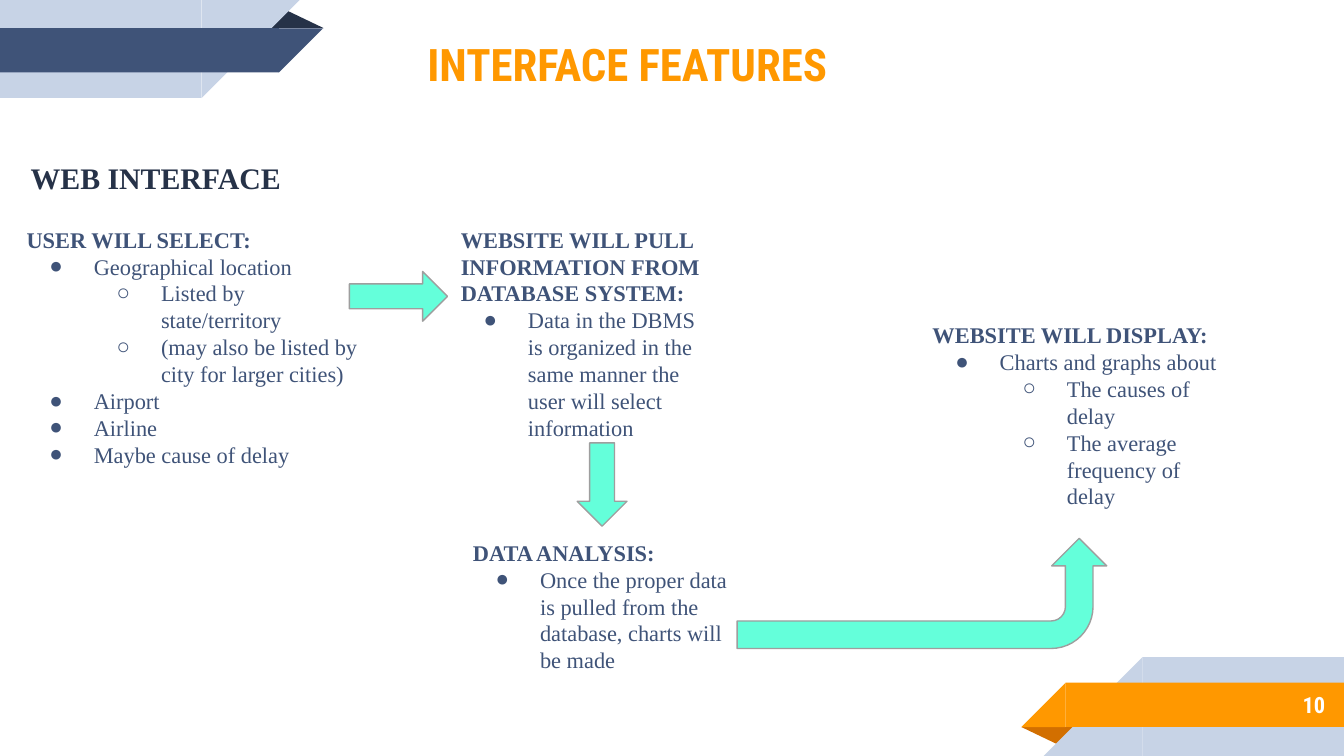
from dataclasses import dataclass

import pptx
import pptx.dml.color
import pptx.enum.shapes
import pptx.enum.text
import pptx.oxml.ns
import pptx.util
from lxml import etree

PX = 4572  # EMU per px, 200 px to the inch
SHAPE = pptx.enum.shapes.MSO_SHAPE
ALIGN = pptx.enum.text.PP_ALIGN
ANCHOR = pptx.enum.text.MSO_ANCHOR
FIT = pptx.enum.text.MSO_AUTO_SIZE
qn = pptx.oxml.ns.qn


@dataclass(frozen=True)
class Theme:
    heading_font: str = "Roboto Condensed"
    body_font: str = "Times New Roman"
    title_size: int = 24
    section_size: int = 16
    body_size: int = 12
    white: str = "FFFFFF"
    navy: str = "263248"
    blue: str = "3F5378"
    pale: str = "C7D3E6"
    orange: str = "FF9800"
    rust: str = "D26F00"
    mint: str = "64FFDA"
    grey: str = "9E9E9E"


@dataclass(frozen=True)
class Area:
    left: int
    top: int
    width: int
    height: int


@dataclass(frozen=True)
class Ribbon:
    """A bar with one slanted end; the slant is as wide as the bar is high."""
    bar: Area
    color: str
    at_top: bool


@dataclass(frozen=True)
class Fold:
    area: Area
    color: str
    rotation: int


@dataclass(frozen=True)
class Arrow:
    preset: int
    area: Area
    rotation: int
    flipped: bool
    adjustments: tuple[float, ...]


@dataclass(frozen=True)
class Step:
    area: Area
    heading: str
    bullets: tuple[tuple[int, str], ...]  # level, text


THEME = Theme()

FOLDS = (
    Fold(Area(396, 14, 86, 28), THEME.navy, 0),
    Fold(Area(1520, 1082, 86, 28), THEME.rust, 180),
)
RIBBONS = (
    Ribbon(Area(0, 0, 300, 146), THEME.pale, True),
    Ribbon(Area(0, 42, 415, 66), THEME.blue, True),
    Ribbon(Area(1700, 978, 300, 147), THEME.pale, False),
    Ribbon(Area(1586, 1016, 414, 66), THEME.orange, False),
)
ARROWS = (
    Arrow(SHAPE.RIGHT_ARROW, Area(520, 404, 146, 74), 0, False, (0.5, 0.5)),
    Arrow(SHAPE.RIGHT_ARROW, Area(834, 684, 124, 74), 90, False, (0.5, 0.5)),
    Arrow(SHAPE.BENT_ARROW, Area(1290, 608, 164, 550), 90, True, (0.25, 0.25, 0.25, 0.38)),
)
STEPS = (
    Step(Area(20, 316, 548, 404), "USER WILL SELECT:", (
        (0, "Geographical location"),
        (1, "Listed by state/territory"),
        (1, "(may also be listed by city for larger cities)"),
        (0, "Airport"),
        (0, "Airline"),
        (0, "Maybe cause of delay"),
    )),
    Step(Area(666, 316, 396, 364), "WEBSITE WILL PULL INFORMATION FROM DATABASE SYSTEM:", (
        (0, "Data in the DBMS is organized in the same manner the user will select information"),
    )),
    Step(Area(684, 782, 442, 242), "DATA ANALYSIS:", (
        (0, "Once the proper data is pulled from the database, charts will be made"),
    )),
    Step(Area(1368, 458, 466, 324), "WEBSITE WILL DISPLAY:", (
        (0, "Charts and graphs about"),
        (1, "The causes of delay"),
        (1, "The average frequency of delay"),
    )),
)


def rgb(color: str) -> pptx.dml.color.RGBColor:
    return pptx.dml.color.RGBColor.from_string(color)


def place(shape, area: Area) -> None:
    shape.left, shape.top = area.left * PX, area.top * PX
    shape.width, shape.height = area.width * PX, area.height * PX


def add_solid(slide, preset: int, area: Area, color: str, rotation: int = 0, flipped: bool = False):
    shape = slide.shapes.add_shape(preset, 0, 0, 0, 0)
    place(shape, area)
    shape.shadow.inherit = False
    shape.fill.solid()
    shape.fill.fore_color.rgb = rgb(color)
    shape.line.fill.background()
    shape.rotation = rotation
    if flipped:
        shape.element.spPr.find(qn("a:xfrm")).set("flipH", "1")
    return shape


def add_ribbon(slide, ribbon: Ribbon) -> None:
    bar = ribbon.bar
    add_solid(slide, SHAPE.RECTANGLE, bar, ribbon.color)
    slant_left = bar.left + bar.width if ribbon.at_top else bar.left - bar.height
    slant = Area(slant_left, bar.top, bar.height, bar.height)
    add_solid(slide, SHAPE.RIGHT_TRIANGLE, slant, ribbon.color, 180 if ribbon.at_top else 0, True)


def add_arrow(slide, arrow: Arrow) -> None:
    shape = add_solid(slide, arrow.preset, arrow.area, THEME.mint, arrow.rotation, arrow.flipped)
    for index, value in enumerate(arrow.adjustments):
        shape.adjustments[index] = value
    shape.line.color.rgb = rgb(THEME.grey)
    shape.line.width = pptx.util.Pt(0.75)


def prepare_frame(shape, area: Area, anchor=ANCHOR.TOP, fit=FIT.NONE):
    place(shape, area)
    frame = shape.text_frame
    frame.word_wrap = True
    frame.auto_size = fit
    frame.vertical_anchor = anchor
    frame.margin_left = frame.margin_right = frame.margin_top = frame.margin_bottom = 20 * PX
    return frame


def add_span(para, text: str, font: str, size: int, color: str, bold: bool = True) -> None:
    span = para.add_run()
    span.text = text
    span.font.name = font
    span.font.size = pptx.util.Pt(size)
    span.font.bold = bold
    span.font.color.rgb = rgb(color)


def add_bullet(para, level: int) -> None:
    para.level = level
    properties = para._p.get_or_add_pPr()
    properties.set("marL", str(100 * (level + 1) * PX))
    properties.set("indent", str(-66 * PX))
    bullet_color = etree.SubElement(properties, qn("a:buClr"))
    etree.SubElement(bullet_color, qn("a:srgbClr"), val=THEME.blue)
    etree.SubElement(properties, qn("a:buFont"), typeface=THEME.body_font)
    etree.SubElement(properties, qn("a:buChar"), char="●○"[level])


def add_box(slide, area: Area, anchor=ANCHOR.TOP, fit=FIT.NONE):
    return prepare_frame(slide.shapes.add_textbox(0, 0, 0, 0), area, anchor, fit)


def add_step(slide, step: Step) -> None:
    frame = add_box(slide, step.area, fit=FIT.SHAPE_TO_FIT_TEXT)
    add_span(frame.paragraphs[0], step.heading, THEME.body_font, THEME.body_size, THEME.blue)
    for level, text in step.bullets:
        para = frame.add_paragraph()
        add_bullet(para, level)
        add_span(para, text, THEME.body_font, THEME.body_size, THEME.blue, bold=False)


def main() -> None:
    deck = pptx.Presentation()
    deck.slide_width, deck.slide_height = 2000 * PX, 1125 * PX
    page = deck.slides.add_slide(deck.slide_layouts[5])

    # Corner ribbons
    for fold in FOLDS:
        add_solid(page, SHAPE.ISOSCELES_TRIANGLE, fold.area, fold.color,
                  fold.rotation).adjustments[0] = 0.32
    for ribbon in RIBBONS:
        add_ribbon(page, ribbon)

    # Title, section heading and page number
    frame = prepare_frame(page.shapes.title, Area(616, 28, 678, 188))
    frame.margin_top = 26 * PX
    para = frame.paragraphs[0]
    para.alignment = ALIGN.LEFT
    add_span(para, "INTERFACE FEATURES", THEME.heading_font, THEME.title_size, THEME.orange)

    para = add_box(page, Area(26, 210, 656, 94), fit=FIT.SHAPE_TO_FIT_TEXT).paragraphs[0]
    para.alignment = ALIGN.JUSTIFY
    para.line_spacing = 1.15
    add_span(para, "WEB INTERFACE", THEME.body_font, THEME.section_size, THEME.navy)

    para = add_box(page, Area(1666, 1014, 326, 70), ANCHOR.MIDDLE).paragraphs[0]
    para.alignment = ALIGN.RIGHT
    add_span(para, "10", THEME.heading_font, THEME.body_size, THEME.white)

    # Process steps and the arrows between them
    for step in STEPS:
        add_step(page, step)
    for arrow in ARROWS:
        add_arrow(page, arrow)

    deck.save("out.pptx")


if __name__ == "__main__":
    main()
